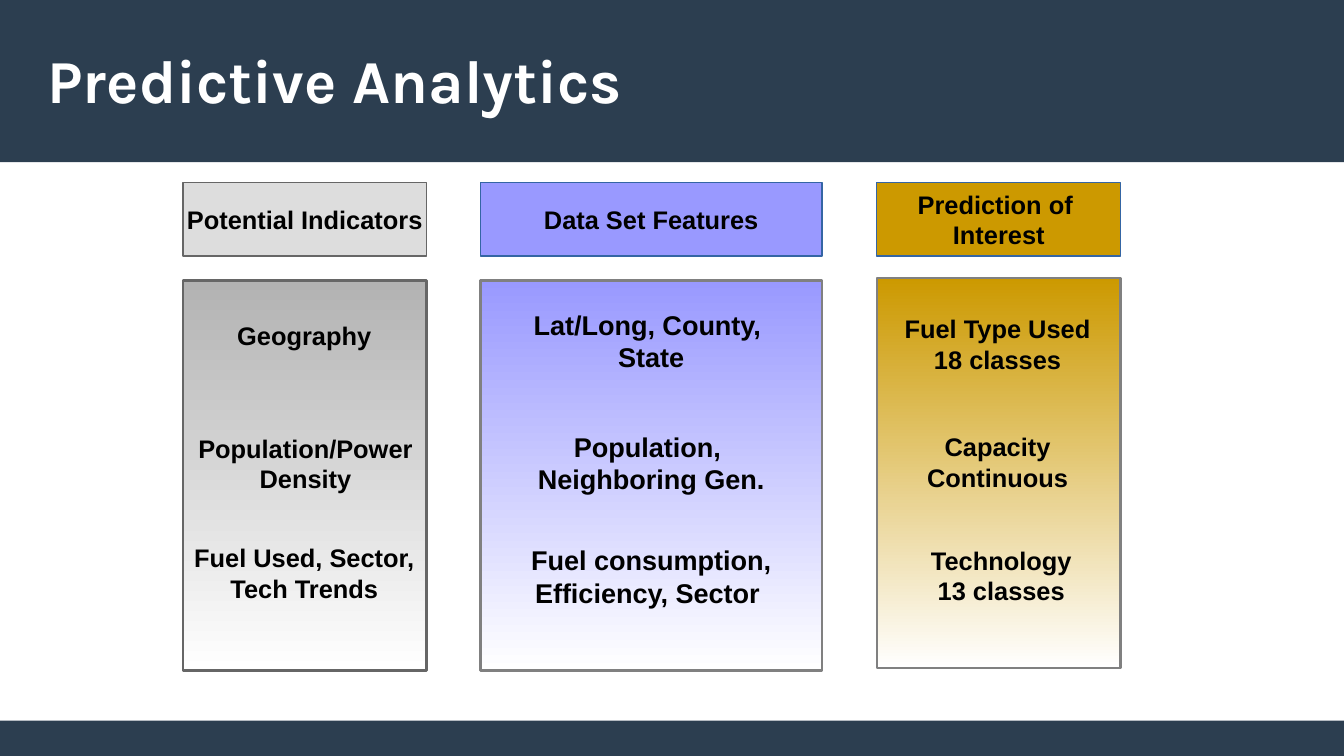
from pptx import Presentation
from pptx.dml.color import RGBColor
from pptx.enum.shapes import MSO_SHAPE
from pptx.enum.text import MSO_ANCHOR as Anchor, MSO_AUTO_SIZE as AutoSize, PP_ALIGN as Align
from pptx.util import Inches, Pt

WIDTH, HEIGHT = 11.02, 6.2
NAVY = "2C3E50"
HEADER_TOP, HEADER_HEIGHT, PANEL_HEIGHT = 1.5, 0.6, 3.2

# Each item: left, top, width, height, lines
COLUMNS = [
    dict(left=1.5, width=2, panel_top=2.3, header=["Potential Indicators"],
         header_fill="DDDDDD", header_line="666666", panel_fill="B2B2B2",
         panel_line="666666", size=15, anchor=Anchor.TOP,
         items=[(1.49, 2.58, 2.01, 0.4, ["Geography"]),
                (1.5, 3.5, 2.01, 0.56, ["Population/Power Density"]),
                (1.44, 4.4, 2.11, 0.56, ["Fuel Used, Sector, Tech Trends"])]),
    dict(left=3.94, width=2.8, panel_top=2.3, header=["Data Set Features"],
         header_fill="9999FF", header_line="3465A4", panel_fill="9999FF",
         panel_line="808080", size=16, anchor=Anchor.MIDDLE,
         items=[(3.94, 2.5, 2.8, 0.59, ["Lat/Long, County, ", "State"]),
                (3.94, 3.5, 2.8, 0.59, ["Population, ", "Neighboring Gen."]),
                (3.94, 4.43, 2.8, 0.59, ["Fuel consumption, Efficiency, Sector "])]),
    dict(left=7.19, width=2, panel_top=2.28, header=["Prediction of ", "Interest"],
         header_fill="CC9900", header_line="3465A4", panel_fill="CC9900",
         panel_line="808080", size=15, anchor=Anchor.TOP,
         items=[(7.23, 2.52, 1.9, 0.56, ["Fuel Type Used", "18 classes"]),
                (7.23, 3.49, 1.9, 0.56, ["Capacity", "Continuous"]),
                (7.29, 4.42, 1.84, 0.56, ["Technology", "13 classes"])]),
]


def color(hex_text):
    return RGBColor.from_string(hex_text)


def set_values(target, **values):
    """Set every given attribute on the target."""
    for name, value in values.items():
        setattr(target, name, value)


class SlideBuilder:
    font_name = "Arial"
    title_font = "Karla"
    text_color = "000000"

    def __init__(self, slide):
        self.slide = slide

    def set_text(self, shape, lines, size, font=None, ink=None, align=Align.CENTER,
                 **frame_format):
        frame = shape.text_frame
        frame.text = "\n".join(lines)
        set_values(frame, **frame_format)
        for paragraph in frame.paragraphs:
            paragraph.alignment = align
            set_values(paragraph.font, size=Pt(size), bold=True, name=font or self.font_name)
            paragraph.font.color.rgb = color(ink or self.text_color)

    def title(self, text, *box):
        shape = self.slide.shapes.title
        set_values(shape, **dict(zip(("left", "top", "width", "height"), map(Inches, box))))
        self.set_text(shape, [text], 36, self.title_font, "FFFFFF", Align.LEFT,
                      margin_left=0, margin_right=0, margin_top=0, margin_bottom=0,
                      vertical_anchor=Anchor.MIDDLE, word_wrap=True,
                      auto_size=AutoSize.SHAPE_TO_FIT_TEXT)
        # Bring the title in front of the band
        self.slide.shapes._spTree.append(shape._element)

    def rectangle(self, shapes, box, fill, line=None, line_width=0, fade=False):
        shape = shapes.add_shape(MSO_SHAPE.RECTANGLE, *map(Inches, box))
        shape.shadow.inherit = False
        if fade:
            shape.fill.gradient()
            shape.fill.gradient_angle = 270
            for stop, stop_color in zip(shape.fill.gradient_stops, (fill, "FFFFFF")):
                stop.color.rgb = color(stop_color)
        else:
            shape.fill.solid()
            shape.fill.fore_color.rgb = color(fill)
        if line:
            shape.line.color.rgb = color(line)
            shape.line.width = Pt(line_width)
        else:
            shape.line.fill.background()
        return shape

    def label(self, shapes, box, lines, size, anchor):
        shape = shapes.add_textbox(*map(Inches, box))
        self.set_text(shape, lines, size, vertical_anchor=anchor, word_wrap=True,
                      auto_size=AutoSize.SHAPE_TO_FIT_TEXT)

    def column(self, left, width, panel_top, header, header_fill, header_line,
               panel_fill, panel_line, size, anchor, items):
        shapes = self.slide.shapes.add_group_shape().shapes
        self.rectangle(shapes, (left, panel_top, width, PANEL_HEIGHT),
                       panel_fill, panel_line, 1.5, fade=True)
        heading = self.rectangle(shapes, (left, HEADER_TOP, width, HEADER_HEIGHT),
                                 header_fill, header_line)
        self.set_text(heading, header, 15, vertical_anchor=Anchor.MIDDLE, word_wrap=False)
        for *box, lines in items:
            self.label(shapes, box, lines, size, anchor)


def main():
    presentation = Presentation()
    set_values(presentation, slide_width=Inches(WIDTH), slide_height=Inches(HEIGHT))
    slide = presentation.slides.add_slide(presentation.slide_layouts[5])
    builder = SlideBuilder(slide)
    for top, height in ((5.91, 0.29), (0, 1.33)):
        builder.rectangle(slide.shapes, (0, top, WIDTH, height), NAVY)
    builder.title("Predictive Analytics", 0.39, 0.25, 10.24, 0.79)
    for column in COLUMNS:
        builder.column(**column)
    presentation.save("out.pptx")


if __name__ == "__main__":
    main()
